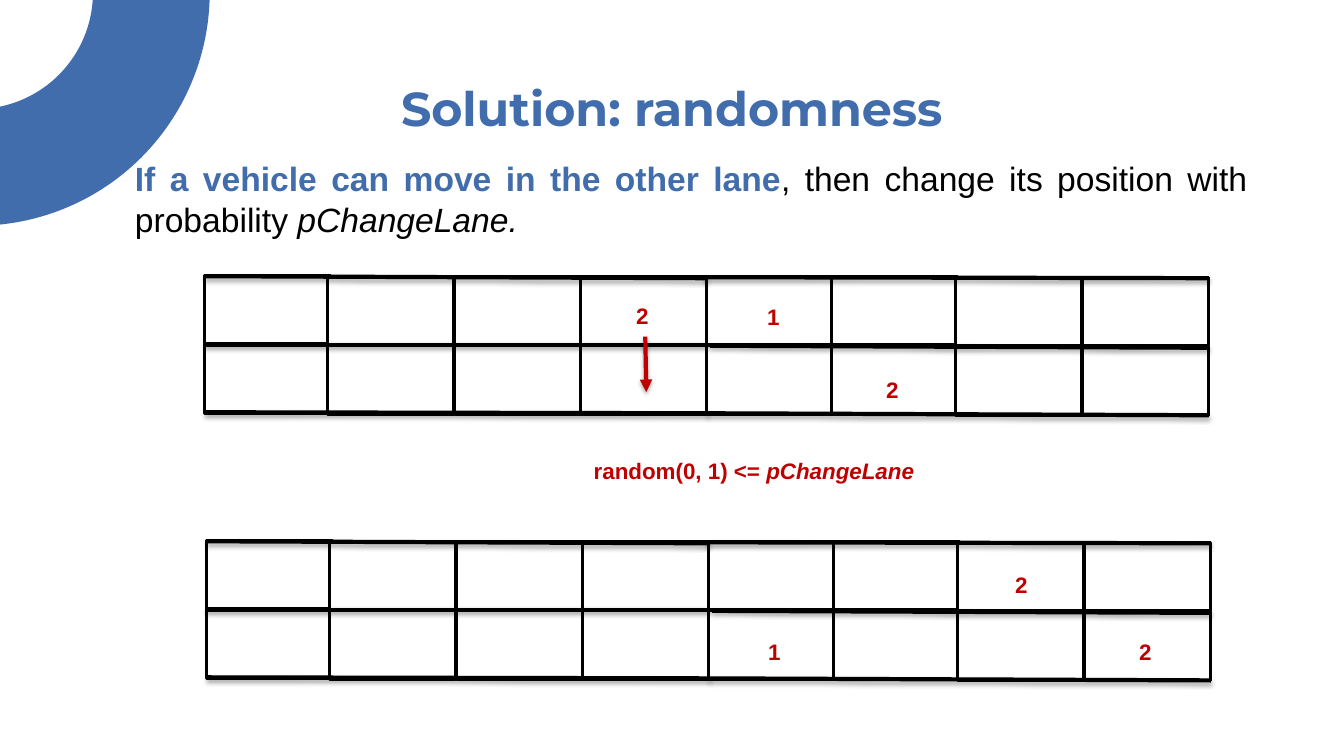
import pptx
import pptx.util
import pptx.dml.color
import pptx.enum.shapes
import pptx.enum.text
from lxml import etree

PX = 9144  # EMU per px, 100 px to the inch
BLUE = pptx.dml.color.RGBColor(0x41, 0x6D, 0xAC)
RED = pptx.dml.color.RGBColor(0xC0, 0x00, 0x00)
BLACK = pptx.dml.color.RGBColor(0x00, 0x00, 0x00)
WHITE = pptx.dml.color.RGBColor(0xFF, 0xFF, 0xFF)
A = "http://schemas.openxmlformats.org/drawingml/2006/main"
SHADOW = (f'<a:effectLst xmlns:a="{A}"><a:outerShdw blurRad="39370" dist="22860" '
          'dir="5400000" rotWithShape="0"><a:srgbClr val="000000">'
          '<a:alpha val="35000"/></a:srgbClr></a:outerShdw></a:effectLst>')

prs = pptx.Presentation()
prs.slide_width, prs.slide_height = 1333 * PX, 750 * PX
s = prs.slides.add_slide(prs.slide_layouts[6])


def add_text(x, y, w, h, runs, size, color, font="Arial"):
    """Text box with one paragraph; runs are (text, bold, italic, color)."""
    box = s.shapes.add_textbox(x * PX, y * PX, w * PX, h * PX)
    tf = box.text_frame
    tf.word_wrap = True
    p = tf.paragraphs[0]
    p.font.size, p.font.name = pptx.util.Pt(size), font
    p.font.color.rgb = color
    for text, bold, italic, run_color in runs:
        r = p.add_run()
        r.text = text
        r.font.bold, r.font.italic = bold, italic
        r.font.color.rgb = run_color
    return tf


def add_line(x1, y1, x2, y2, color):
    """Thick line with a soft shadow below."""
    cn = s.shapes.add_connector(pptx.enum.shapes.MSO_CONNECTOR.STRAIGHT,
                                x1 * PX, y1 * PX, x2 * PX, y2 * PX)
    cn.line.color.rgb = color
    cn.line.width = pptx.util.Pt(3)
    cn._element.spPr.append(etree.fromstring(SHADOW))
    return cn


# Corner ring
ring = s.shapes.add_shape(pptx.enum.shapes.MSO_SHAPE.BLOCK_ARC,
                          -255 * PX, -239 * PX, 463 * PX, 463 * PX)
ring.shadow.inherit = False
ring.adjustments[0] = 0
ring.adjustments[1] = 118.8  # 198 degrees
ring.adjustments[2] = 0.25
ring.fill.solid()
ring.fill.fore_color.rgb = BLUE
ring.line.fill.background()

# Title and rule
tf = add_text(105, 65, 1123, 84, [("Solution: randomness", True, False, BLUE)],
              34, BLUE, "Montserrat")
tf.margin_top = tf.margin_bottom = 10 * PX
tf.vertical_anchor = pptx.enum.text.MSO_ANCHOR.MIDDLE
tf.paragraphs[0].alignment = pptx.enum.text.PP_ALIGN.CENTER

tf = add_text(124, 152, 1123, 91, [
    ("If a vehicle can move in the other lane", True, False, BLUE),
    (", then change its position with probability ", False, False, BLACK),
    ("pChangeLane.", False, True, BLACK)], 24, BLACK)
tf.paragraphs[0].alignment = pptx.enum.text.PP_ALIGN.JUSTIFY

# Condition between the two roads
add_text(579, 449, 345, 37, [("random(0, 1) <= ", True, False, RED),
                             ("pChangeLane", True, True, RED)], 16, RED)

# Two-lane roads before and after: cells, then lane borders
cell_lefts = [203, 325, 451, 576, 701, 825, 948, 1074]
cell_tops = [273] + [274] * 5 + [275] * 2
borders = [(203, 274, 701, 276), (203, 342, 701, 342), (203, 409, 702, 410),
           (699, 275, 1199, 276), (704, 343, 1199, 345), (701, 410, 1199, 412)]
for dx, dy in [(0, 0), (2, 263)]:
    for lane in range(2):
        for left, top in zip(cell_lefts, cell_tops):
            cell = s.shapes.add_shape(pptx.enum.shapes.MSO_SHAPE.RECTANGLE,
                                      (left + dx) * PX, (top + dy + 69 * lane) * PX,
                                      125 * PX, 68 * PX)
            cell.shadow.inherit = False
            cell.fill.solid()
            cell.fill.fore_color.rgb = WHITE
            cell.line.color.rgb = BLACK
            cell.line.width = pptx.util.Pt(2)
    for x1, y1, x2, y2 in borders:
        add_line(x1 + dx, y1 + dy, x2 + dx, y2 + dy, BLACK)

# Vehicles, labelled by speed
vehicles = [("2", 621, 295), ("1", 751, 296), ("2", 869, 368),
            ("1", 752, 628), ("2", 1120, 628), ("2", 997, 562)]
for speed, x, y in vehicles:
    add_text(x, y, 32, 37, [(speed, True, False, RED)], 16, RED)

# Lane change arrow
arrow = add_line(640, 334, 641, 389, RED)
etree.SubElement(arrow.line._get_or_add_ln(), f"{{{A}}}tailEnd", type="triangle")

prs.save("out.pptx")
